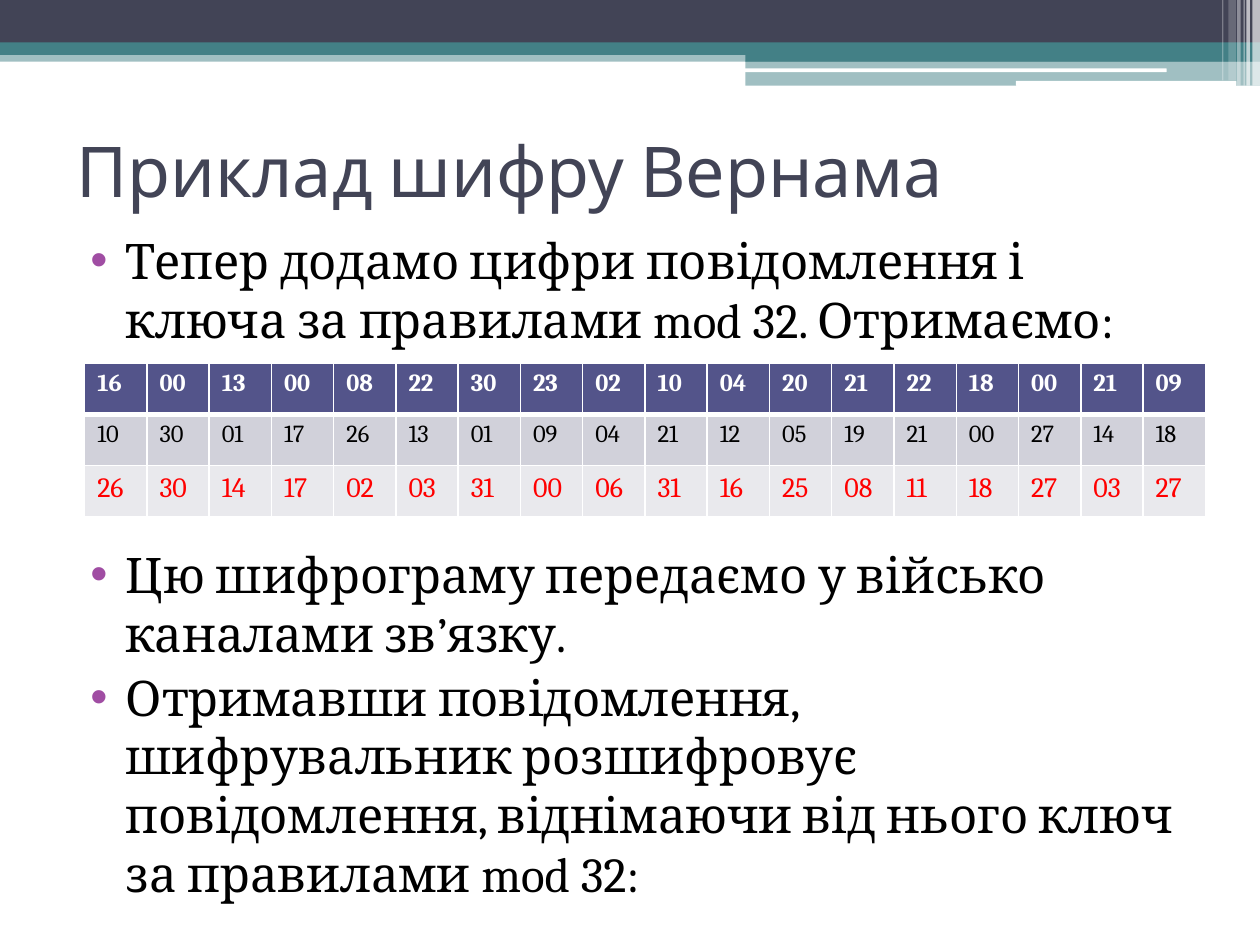
"""Build the slide on adding a message and a key in the Vernam cipher."""
from lxml.etree import SubElement
from pptx import Presentation
from pptx.dml.color import RGBColor
from pptx.enum.shapes import MSO_SHAPE
from pptx.enum.text import MSO_ANCHOR
from pptx.oxml.ns import qn
from pptx.util import Pt

WHITE = RGBColor(0xFF, 0xFF, 0xFF)
BLACK = RGBColor(0, 0, 0)
RED = RGBColor(0xFF, 0, 0)
SLATE = RGBColor(0x42, 0x44, 0x56)
TEAL = RGBColor(0x43, 0x80, 0x86)
INDIGO = RGBColor(0x53, 0x54, 0x8A)
GREY = RGBColor(0xD1, 0xD1, 0xDA)
PALE = RGBColor(0xE9, 0xE9, 0xED)
PURPLE = RGBColor(0xA0, 0x4D, 0xA3)

HEAD, BODY = "Cabin", "Cambria"
RECT, ROUND = MSO_SHAPE.RECTANGLE, MSO_SHAPE.ROUNDED_RECTANGLE

TITLE = "Приклад шифру Вернама"
POINTS = [
    ("Тепер додамо цифри повідомлення і ключа за правилами mod 32. Отримаємо:", 3),
    ("Цю шифрограму передаємо у військо каналами зв’язку.", 112),
    ("Отримавши повідомлення, шифрувальник розшифровує повідомлення, "
     "віднімаючи від нього ключ за правилами mod 32:", 3),
]
ROWS = [
    ("16 00 13 00 08 22 30 23 02 10 04 20 21 22 18 00 21 09", 14, WHITE, True, INDIGO),
    ("10 30 01 17 26 13 01 09 04 21 12 05 19 21 00 27 14 18", 14, BLACK, False, GREY),
    ("26 30 14 17 02 03 31 00 06 31 16 25 08 11 18 27 03 27", 16, RED, False, PALE),
]
BANDS = [
    (RECT, 0, 28.8, 720, 6.5, TEAL, 50),
    (RECT, 0, 0, 720, 24.5, SLATE, 100),
    (RECT, 0, 24.2, 720, 7.2, TEAL, 100),
    (RECT, 426, 28, 294, 7.2, TEAL, 100),
    (RECT, 426, 34.6, 294, 14.4, TEAL, 50),
    (ROUND, 425.5, 39.1, 241.2, 2.2, WHITE, 100),
    (ROUND, 580.5, 46.2, 126, 2.9, WHITE, 100),
]
STRIPES = [
    (715.7, 4.3, 49, 65),
    (712.2, 2, 49, 65),
    (710.6, 0.7, 49, 60),
    (707, 2, 49, 40),
    (702, 4.3, 46, 20),
    (698.4, 0.7, 46, 30),
]
TABLE = (48.4, 207.7)
COL, ROW = 35.6, 29.2


def add_band(slide, kind, left, top, width, height, color, alpha):
    band = slide.shapes.add_shape(kind, Pt(left), Pt(top), Pt(width), Pt(height))
    band.shadow.inherit = False
    band.line.fill.background()
    band.fill.solid()
    band.fill.fore_color.rgb = color
    if alpha < 100:
        tint = band.fill._xPr.find(".//" + qn("a:srgbClr"))
        SubElement(tint, qn("a:alpha"), val=str(alpha * 1000))


def add_text(slide, left, top, width, height):
    box = slide.shapes.add_textbox(Pt(left), Pt(top), Pt(width), Pt(height))
    box.text_frame.word_wrap = True
    return box.text_frame


def set_font(para, name, size, color, bold=False):
    font = para.font
    font.name, font.size, font.bold = name, Pt(size), bold
    font.color.rgb = color


def add_bullet(para):
    props = para._p.get_or_add_pPr()
    props.set("marL", str(Pt(28.8)))
    props.set("indent", str(Pt(-20.2)))
    tint = SubElement(props, qn("a:buClr"))
    SubElement(tint, qn("a:srgbClr"), val=str(PURPLE))
    SubElement(props, qn("a:buFont"), typeface="Arial")
    SubElement(props, qn("a:buChar"), char="•")


def add_edges(cell, row):
    props = cell._tc.get_or_add_tcPr()
    widths = {"L": 1, "R": 1, "T": 3 if row == 1 else 1, "B": 3 if row == 0 else 1}
    for side, width in widths.items():
        line = SubElement(props, qn("a:ln" + side), w=str(Pt(width)))
        fill = SubElement(line, qn("a:solidFill"))
        SubElement(fill, qn("a:srgbClr"), val=str(WHITE))


def add_grid(slide):
    count = len(ROWS[0][0].split())
    left, top = TABLE
    table = slide.shapes.add_table(len(ROWS), count, Pt(left), Pt(top),
                                   Pt(COL * count), Pt(ROW * len(ROWS))).table
    for col in table.columns:
        col.width = Pt(COL)
    for row, (codes, size, color, bold, fill) in enumerate(ROWS):
        table.rows[row].height = Pt(ROW)
        for col, code in enumerate(codes.split()):
            cell = table.cell(row, col)
            cell.text = code
            set_font(cell.text_frame.paragraphs[0], BODY, size, color, bold)
            add_edges(cell, row)
            cell.fill.solid()
            cell.fill.fore_color.rgb = fill


def main():
    deck = Presentation()
    deck.slide_width, deck.slide_height = Pt(720), Pt(540)
    slide = deck.slides.add_slide(deck.slide_layouts[6])

    for band in BANDS:
        add_band(slide, *band)
    for left, width, height, alpha in STRIPES:
        add_band(slide, RECT, left, 0, width, height, WHITE, alpha)

    title = add_text(slide, 36.7, 54.7, 648, 84.2)
    title.vertical_anchor = MSO_ANCHOR.MIDDLE
    title.text = TITLE
    set_font(title.paragraphs[0], HEAD, 40, SLATE)

    body = add_text(slide, 36, 128.2, 648, 389.5)
    body.text = "\n".join(text for text, gap in POINTS)
    for para, (text, gap) in zip(body.paragraphs, POINTS):
        para.space_before = Pt(gap)
        add_bullet(para)
        set_font(para, BODY, 28, BLACK)

    add_grid(slide)
    deck.save("out.pptx")


if __name__ == "__main__":
    main()
